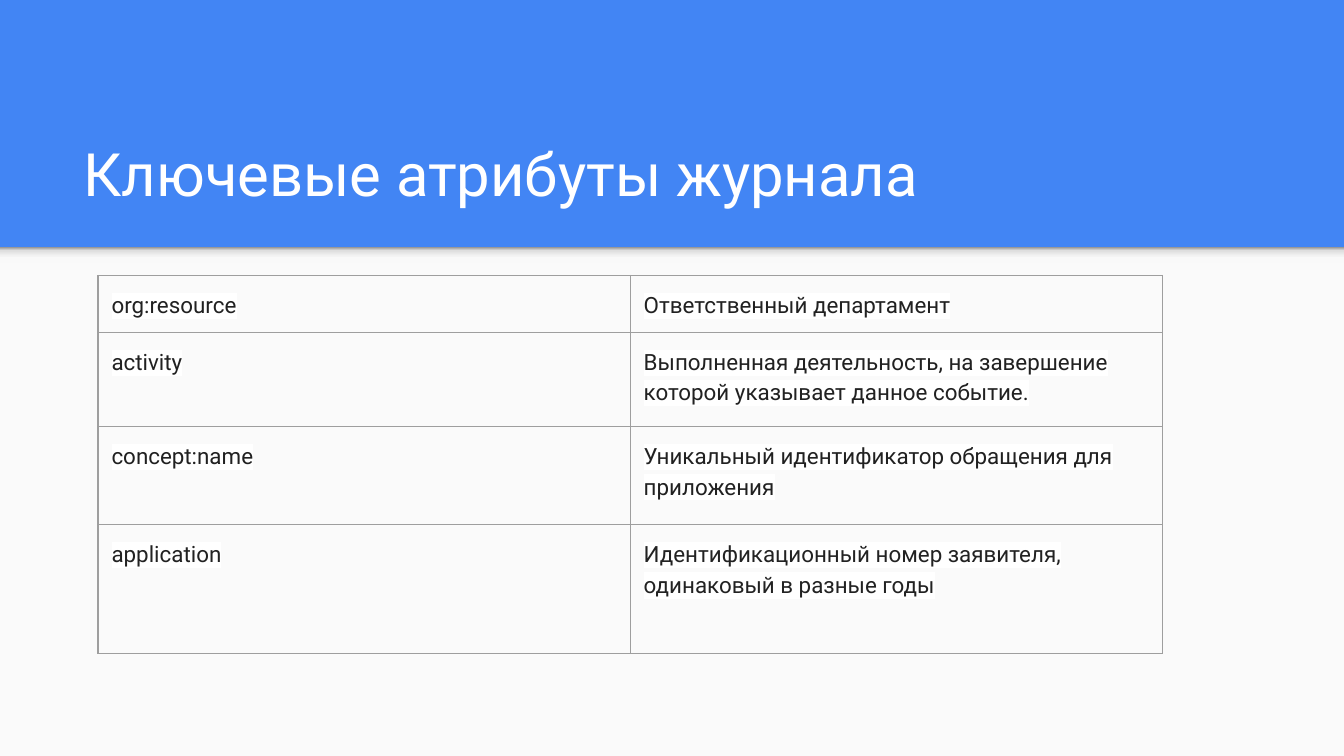
from dataclasses import dataclass

import lxml.etree
import pptx
import pptx.dml.color
import pptx.enum.shapes
import pptx.enum.text
import pptx.oxml.ns
import pptx.util
from pptx.util import Inches

qn = pptx.oxml.ns.qn


@dataclass(frozen=True)
class Theme:
    font: str = "Roboto"
    title_size: int = 32
    cell_size: int = 12
    border_width: float = 0.75
    header: str = "4285F4"
    panel: str = "FAFAFA"
    title: str = "FFFFFF"
    text: str = "212121"
    text_alt: str = "222222"
    highlight: str = "FFFFFF"
    border: str = "9E9E9E"
    # Gradient stops from the bottom of the shadow to its top
    shadow: tuple = ((0, "F9F9F9"), (36, "F9F9F9"), (80, "DEDEDE"), (100, "999999"))


@dataclass(frozen=True)
class Attribute:
    name: str
    meaning: str
    height: float
    color: str


THEME = Theme()
SLIDE_WIDTH = 10
SLIDE_HEIGHT = SLIDE_WIDTH * 9 / 16
HEADER_HEIGHT = 1.84
COLUMN_WIDTH = 3.96
INSET = 0.1

ATTRIBUTES = [
    Attribute("org:resource", "Ответственный департамент", 0.4, THEME.text),
    Attribute("activity",
              "Выполненная деятельность, на завершение которой указывает данное событие.",
              0.7, THEME.text),
    Attribute("concept:name", "Уникальный идентификатор обращения для приложения",
              0.73, THEME.text),
    Attribute("application", "Идентификационный номер заявителя, одинаковый в разные годы",
              0.96, THEME.text_alt),
]


def rgb(color: str) -> pptx.dml.color.RGBColor:
    return pptx.dml.color.RGBColor.from_string(color)


def add_color(parent, tag: str, color: str):
    """Append an element that holds one RGB colour."""
    holder = lxml.etree.SubElement(parent, qn(tag))
    lxml.etree.SubElement(holder, qn("a:srgbClr"), val=color)
    return holder


def write_text(frame, text: str, *, size: float, color: str, highlight: str = "",
               line_spacing: float | None = None, space_after: float | None = None) -> None:
    paragraph = frame.paragraphs[0]
    paragraph.alignment = pptx.enum.text.PP_ALIGN.LEFT
    if line_spacing is not None:
        paragraph.line_spacing = line_spacing
    if space_after is not None:
        paragraph.space_after = pptx.util.Pt(space_after)
    run = paragraph.add_run()
    run.text = text
    run.font.size = pptx.util.Pt(size)
    run.font.name = THEME.font
    run.font.color.rgb = rgb(color)
    if highlight:
        properties = run.font._element
        marker = add_color(properties, "a:highlight", highlight)
        properties.find(qn("a:solidFill")).addnext(marker)


def set_insets(target) -> None:
    target.margin_left = target.margin_right = Inches(INSET)
    target.margin_top = target.margin_bottom = Inches(INSET)


def add_band(slide, top: float, height: float, color: str):
    """Add a full-width rectangle without outline."""
    band = slide.shapes.add_shape(
        pptx.enum.shapes.MSO_SHAPE.RECTANGLE,
        Inches(0), Inches(top), Inches(SLIDE_WIDTH), Inches(height))
    band.shadow.inherit = False
    band.fill.solid()
    band.fill.fore_color.rgb = rgb(color)
    band.line.fill.background()
    return band


def apply_gradient(band, stops: tuple) -> None:
    band.fill.gradient()
    band.fill.gradient_angle = 90
    stop_list = band._element.spPr.find(qn("a:gradFill")).find(qn("a:gsLst"))
    for old_stop in list(stop_list):
        stop_list.remove(old_stop)
    for position, color in stops:
        add_color(stop_list, "a:gs", color).set("pos", str(position * 1000))


def format_cell(cell, text: str, color: str) -> None:
    set_insets(cell)
    cell_properties = cell._tc.get_or_add_tcPr()
    for side in ("a:lnL", "a:lnR", "a:lnT", "a:lnB"):
        line = lxml.etree.SubElement(cell_properties, qn(side),
                                     w=str(pptx.util.Pt(THEME.border_width)))
        add_color(line, "a:solidFill", THEME.border)
    cell.fill.background()
    write_text(cell.text_frame, text, size=THEME.cell_size, color=color,
               highlight=THEME.highlight, line_spacing=1.15, space_after=12)


def add_attribute_table(slide, left: float, top: float, attributes: list[Attribute]) -> None:
    table = slide.shapes.add_table(
        len(attributes), 2, Inches(left), Inches(top), Inches(2 * COLUMN_WIDTH),
        Inches(sum(attribute.height for attribute in attributes))).table
    table.first_row = table.horz_banding = False
    for column in table.columns:
        column.width = Inches(COLUMN_WIDTH)
    for row, attribute in zip(table.rows, attributes):
        row.height = Inches(attribute.height)
        for cell, text in zip(row.cells, (attribute.name, attribute.meaning)):
            format_cell(cell, text, attribute.color)


def main() -> None:
    presentation = pptx.Presentation()
    presentation.slide_width = Inches(SLIDE_WIDTH)
    presentation.slide_height = Inches(SLIDE_HEIGHT)
    slide = presentation.slides.add_slide(presentation.slide_layouts[5])

    # Blue header, light panel and the shadow between them
    slide.background.fill.solid()
    slide.background.fill.fore_color.rgb = rgb(THEME.header)
    add_band(slide, HEADER_HEIGHT, SLIDE_HEIGHT - HEADER_HEIGHT, THEME.panel)
    header_shadow = add_band(slide, HEADER_HEIGHT, 0.12, THEME.panel)
    apply_gradient(header_shadow, THEME.shadow)

    # Title
    title = slide.shapes.title
    title.left, title.top = Inches(0.52), Inches(0.81)
    title.width, title.height = Inches(8.99), Inches(0.84)
    title.text_frame.vertical_anchor = pptx.enum.text.MSO_ANCHOR.BOTTOM
    title.text_frame.word_wrap = True
    set_insets(title.text_frame)
    write_text(title.text_frame, "Ключевые атрибуты журнала",
               size=THEME.title_size, color=THEME.title)

    # Log attributes and their meanings
    add_attribute_table(slide, 0.73, 2.05, ATTRIBUTES)

    presentation.save("out.pptx")


if __name__ == "__main__":
    main()
